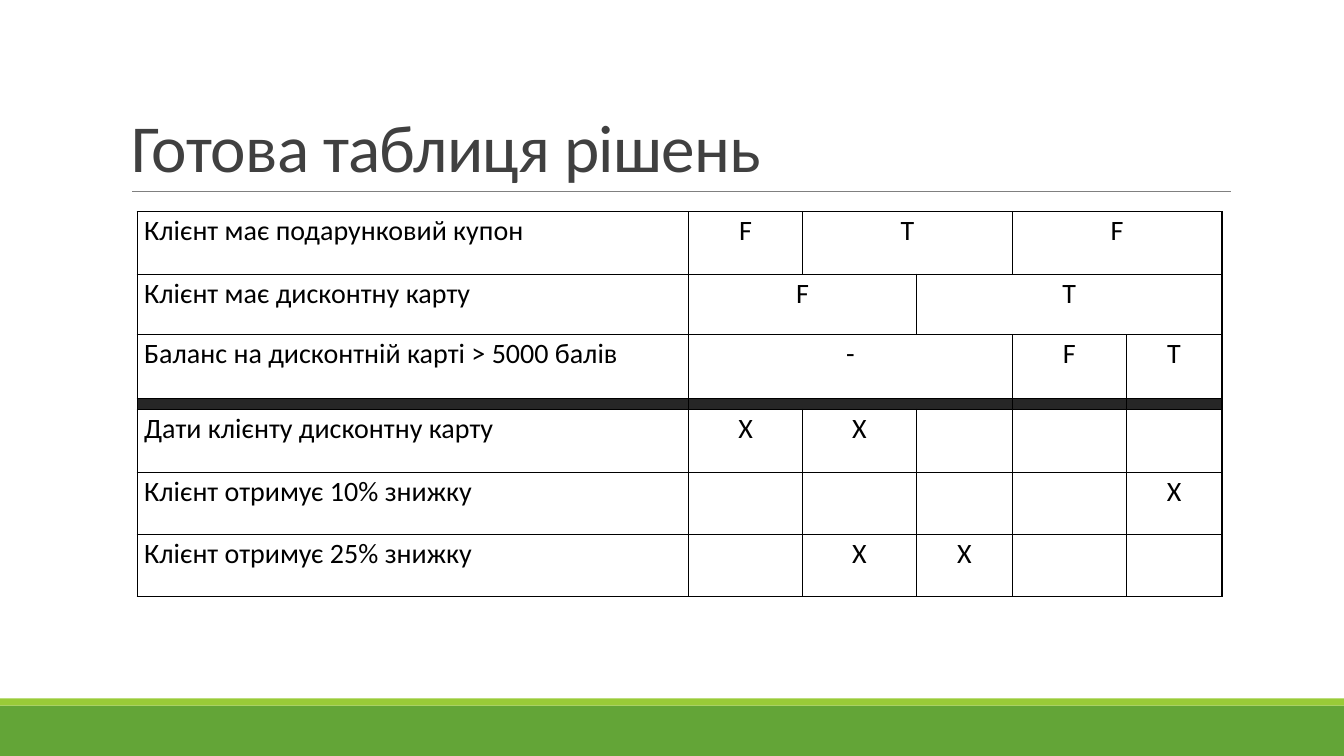
from lxml import etree
from pptx import Presentation
from pptx.dml.color import RGBColor
from pptx.enum.shapes import MSO_CONNECTOR, MSO_SHAPE
from pptx.enum.text import MSO_ANCHOR, PP_ALIGN
from pptx.oxml.ns import qn
from pptx.util import Inches, Pt

RECTANGLE = MSO_SHAPE.RECTANGLE
STRAIGHT = MSO_CONNECTOR.STRAIGHT
BOTTOM = MSO_ANCHOR.BOTTOM
LEFT, CENTER = PP_ALIGN.LEFT, PP_ALIGN.CENTER

GREEN = RGBColor(0x63, 0xA5, 0x37)
LIME = RGBColor(0x99, 0xCB, 0x38)
GRAY = RGBColor(0x80, 0x80, 0x80)
TITLE_GRAY = RGBColor(0x40, 0x40, 0x40)
DIVIDER_GRAY = RGBColor(0x26, 0x26, 0x26)
BLACK = RGBColor(0, 0, 0)
FONT = "Calibri"

COLUMN_WIDTHS = [5.47, 1.13, 1.13, 0.95, 1.13, 0.95]
ROW_HEIGHTS = [0.62, 0.6, 0.63, 0.11, 0.63, 0.61, 0.62]
DIVIDER_ROW = 3
RULES = [
    [("Клієнт має подарунковий купон", 1), ("F", 1), ("T", 2), ("F", 2)],
    [("Клієнт має дисконтну карту", 1), ("F", 2), ("T", 3)],
    [("Баланс на дисконтній карті > 5000 балів", 1), ("-", 3), ("F", 1), ("T", 1)],
    [("", 1), ("", 3), ("", 1), ("", 1)],
    [("Дати клієнту дисконтну карту", 1), ("X", 1), ("X", 1), ("", 1), ("", 1), ("", 1)],
    [("Клієнт отримує 10% знижку", 1), ("", 1), ("", 1), ("", 1), ("", 1), ("X", 1)],
    [("Клієнт отримує 25% знижку", 1), ("", 1), ("X", 1), ("X", 1), ("", 1), ("", 1)],
]


def write(frame, text, size=20, color=BLACK, align=LEFT, leading=1.07, tracking=0):
    paragraph = frame.paragraphs[0]
    paragraph.alignment = align
    paragraph.line_spacing = leading
    run = paragraph.add_run()
    run.text = text
    run.font.name = FONT
    run.font.size = Pt(size)
    run.font.color.rgb = color
    if tracking:
        run.font._element.set("spc", str(int(tracking * 100)))


def add_band(slide, left, top, width, height, color):
    band = slide.shapes.add_shape(
        RECTANGLE, Inches(left), Inches(top), Inches(width), Inches(height))
    band.shadow.inherit = False
    band.fill.solid()
    band.fill.fore_color.rgb = color
    band.line.fill.background()


def add_footer(slide, left, top, width, height):
    stripe = 0.07
    add_band(slide, left, top + stripe, width, height - stripe, GREEN)
    add_band(slide, left, top, width, stripe, LIME)


def add_heading(slide, left, top, width, height):
    bottom = top + height
    underline = slide.shapes.add_connector(
        STRAIGHT, Inches(left + 0.11), Inches(bottom),
        Inches(left + width + 0.01), Inches(bottom))
    underline.line.color.rgb = GRAY
    underline.line.width = Pt(0.5)
    etree.SubElement(underline._element.spPr, qn("a:effectLst"))

    title = slide.shapes.title
    title.left, title.top = Inches(left), Inches(top)
    title.width, title.height = Inches(width), Inches(height)
    title.text_frame.vertical_anchor = BOTTOM
    title.text_frame.word_wrap = True
    write(title.text_frame, "Готова таблиця рішень", size=48,
          color=TITLE_GRAY, leading=0.85, tracking=-0.5)


def add_borders(cell):
    properties = cell._tc.get_or_add_tcPr()
    for side in ("a:lnL", "a:lnR", "a:lnT", "a:lnB"):
        border = etree.SubElement(properties, qn(side), w=str(Pt(1)))
        border_fill = etree.SubElement(border, qn("a:solidFill"))
        etree.SubElement(border_fill, qn("a:srgbClr"), val=str(BLACK))


def add_decision_table(slide, left, top, width, height):
    table = slide.shapes.add_table(
        len(ROW_HEIGHTS), len(COLUMN_WIDTHS),
        Inches(left), Inches(top), Inches(width), Inches(height)).table
    table.first_row = False
    table.horz_banding = False
    for column, column_width in zip(table.columns, COLUMN_WIDTHS):
        column.width = Inches(column_width)
    for row, row_height in zip(table.rows, ROW_HEIGHTS):
        row.height = Inches(row_height)

    for cell in table.iter_cells():
        cell.margin_left = cell.margin_right = Inches(0.07)
        cell.margin_top = cell.margin_bottom = 0
        add_borders(cell)
        cell.fill.background()

    for cell in table.rows[DIVIDER_ROW].cells:
        cell.fill.solid()
        cell.fill.fore_color.rgb = DIVIDER_GRAY
        etree.SubElement(cell.text_frame.paragraphs[0]._p, qn("a:endParaRPr"), sz="100")

    for row_index, rule in enumerate(RULES):
        column_index = 0
        for text, span in rule:
            cell = table.cell(row_index, column_index)
            if span > 1:
                cell.merge(table.cell(row_index, column_index + span - 1))
            if text:
                write(cell.text_frame, text, align=CENTER if column_index else LEFT)
            column_index += span


def main():
    presentation = Presentation()
    presentation.slide_width = Inches(13.33)
    presentation.slide_height = Inches(7.5)
    slide = presentation.slides.add_slide(presentation.slide_layouts[5])
    add_footer(slide, 0, 6.93, 13.33, 0.57)
    add_heading(slide, 1.2, 0.31, 11, 1.59)
    add_decision_table(slide, 1.36, 2.1, sum(COLUMN_WIDTHS), sum(ROW_HEIGHTS))
    presentation.save("out.pptx")


if __name__ == "__main__":
    main()
